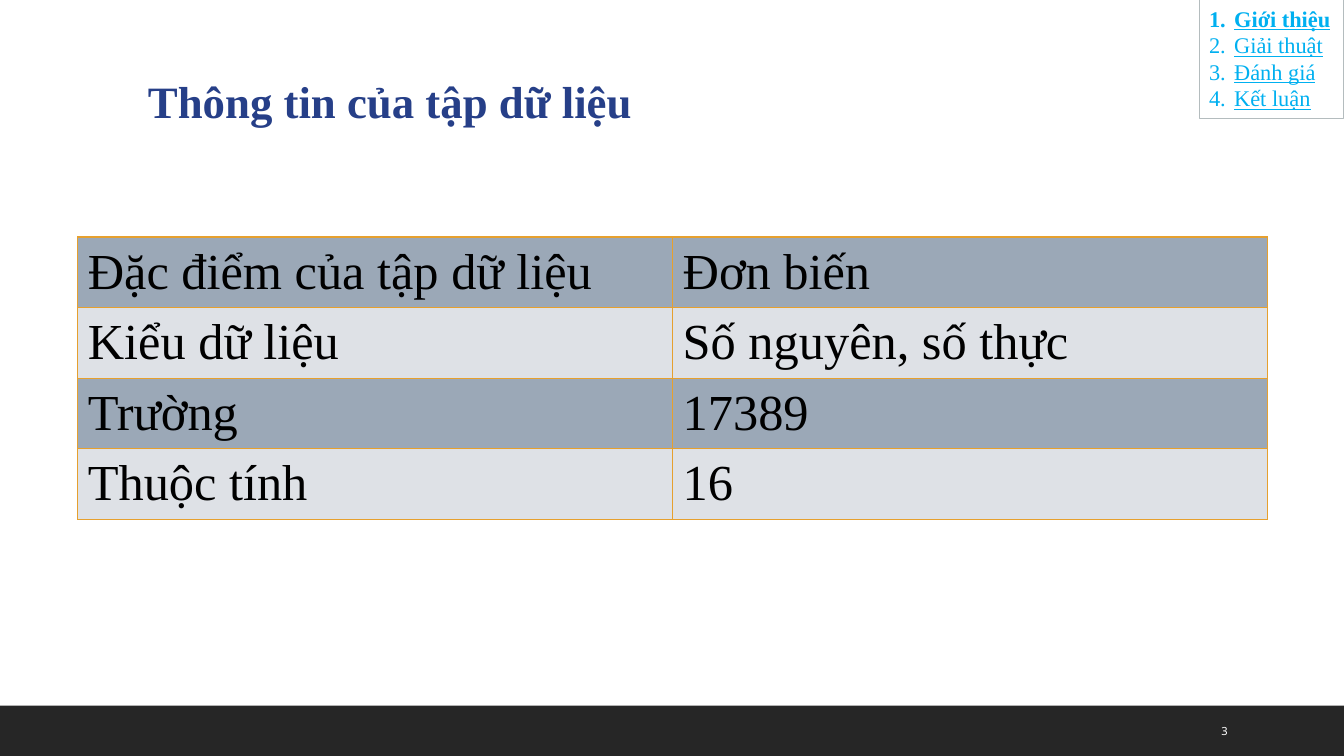
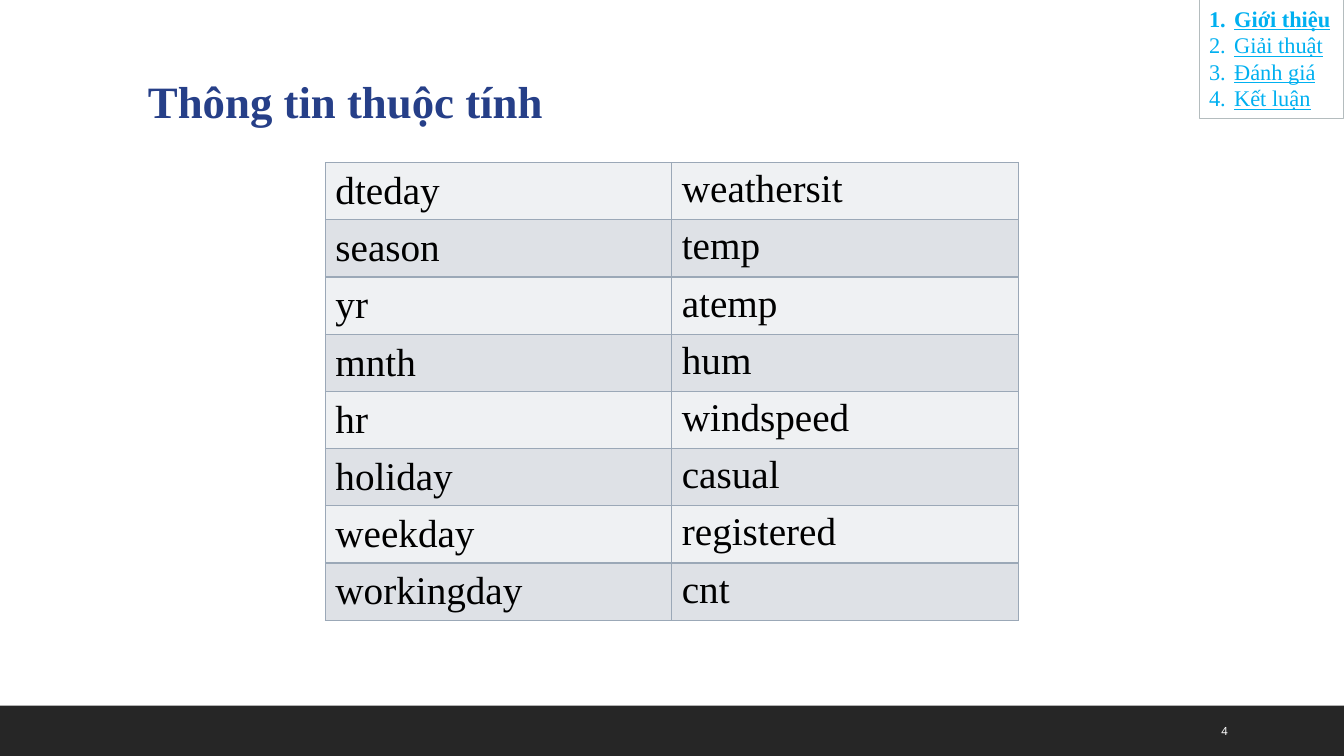
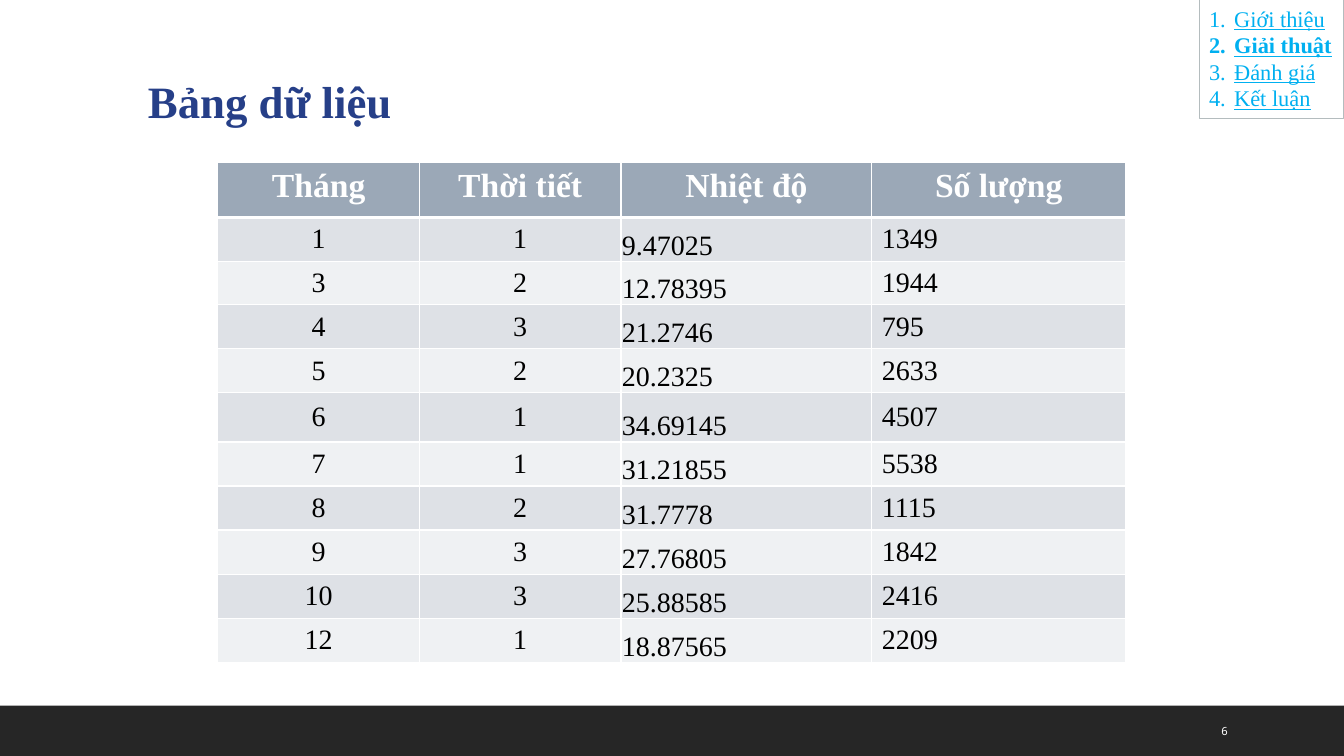
from dataclasses import dataclass
from typing import Optional

from pptx import Presentation
from pptx.dml.color import RGBColor
from pptx.enum.shapes import MSO_SHAPE
from pptx.enum.text import MSO_ANCHOR, PP_ALIGN
from pptx.oxml import parse_xml
from pptx.oxml.ns import nsdecls
from pptx.util import Cm, Pt

SERIF = "Times New Roman"
SANS = "Noto Sans"
NAVY, SKY, ORANGE = "263F88", "00B0F0", "E6A02E"
BLACK, WHITE, CHARCOAL, FRAME = "000000", "FFFFFF", "262626", "B4BCBE"
STEEL, MIST, PALE = "9BA8B7", "DEE1E6", "EFF1F3"
SLIDE_WIDTH, SLIDE_HEIGHT = 33.87, 19.05
SECTIONS = ["Giới thiệu", "Giải thuật", "Đánh giá", "Kết luận"]


@dataclass
class Column:
    """Width and text placement of one table column."""
    width: float
    anchor: MSO_ANCHOR = MSO_ANCHOR.MIDDLE
    align: PP_ALIGN = PP_ALIGN.LEFT
    inset: Optional[float] = None


@dataclass
class TableStyle:
    """Text size, band fills and rules of one table."""
    size: float
    bands: tuple
    rule: str
    heading_size: Optional[float] = None


def color(value):
    """Turn a hex string into a colour."""
    return RGBColor.from_string(value)


def lengths(*values):
    """Turn centimetres into slide lengths."""
    return [Cm(value) for value in values]


def set_font(paragraph, size, value, bold=False, name=SERIF):
    """Set the font shared by all runs of a paragraph."""
    font = paragraph.font
    font.name, font.size, font.bold = name, Pt(size), bold
    font.color.rgb = color(value)


def add_label(page, box, text, anchor=MSO_ANCHOR.TOP, **font):
    """Add one line of text in the given box."""
    frame = page.shapes.add_textbox(*lengths(*box)).text_frame
    frame.word_wrap = True
    frame.vertical_anchor = anchor
    frame.text = text
    set_font(frame.paragraphs[0], **font)


def add_footer(page, box, number):
    """Add the dark band with the page number."""
    left, top, width, height = box
    band = page.shapes.add_shape(MSO_SHAPE.RECTANGLE, *lengths(*box))
    band.shadow.inherit = False
    band.fill.solid()
    band.fill.fore_color.rgb = color(CHARCOAL)
    band.line.fill.background()
    add_label(page, (left + width - 3.34, top + 0.13, 2.16, height - 0.26), str(number),
              MSO_ANCHOR.MIDDLE, size=8, value=WHITE, name=SANS)


def add_menu(page, box, active):
    """Add the numbered section list with the active section in bold."""
    menu = page.shapes.add_shape(MSO_SHAPE.RECTANGLE, *lengths(*box))
    menu.shadow.inherit = False
    menu.fill.background()
    menu.line.color.rgb = color(FRAME)
    menu.line.width = Pt(0.75)
    frame = menu.text_frame
    frame.word_wrap = True
    frame.vertical_anchor = MSO_ANCHOR.TOP
    frame.text = "\n".join(SECTIONS)
    for section, paragraph in zip(SECTIONS, frame.paragraphs):
        paragraph.alignment = PP_ALIGN.JUSTIFY
        paragraph.line_spacing = Pt(19)
        set_font(paragraph, 16, SKY, bold=section == active)
        paragraph.font.underline = True
        properties = paragraph._p.get_or_add_pPr()
        indent = Cm(0.635)
        properties.set("marL", str(indent))
        properties.set("indent", str(-indent))
        numbering = parse_xml(f'<a:buAutoNum {nsdecls("a")} type="arabicPeriod"/>')
        properties.find("{*}defRPr").addprevious(numbering)


def set_borders(cell, value, top=1, bottom=1):
    """Draw the four edges of a cell."""
    properties = cell._tc.get_or_add_tcPr()
    for edge, points in (("L", 1), ("R", 1), ("T", top), ("B", bottom)):
        properties.append(parse_xml(
            f'<a:ln{edge} {nsdecls("a")} w="{Pt(points)}"><a:solidFill>'
            f'<a:srgbClr val="{value}"/></a:solidFill></a:ln{edge}>'))


def fill_cell(cell, text, column, fill, size, value=BLACK, bold=False):
    """Write and colour one table cell."""
    cell.text = text
    cell.vertical_anchor = column.anchor
    if column.inset is not None:
        cell.margin_left = cell.margin_right = cell.margin_top = Cm(column.inset)
        cell.margin_bottom = 0
    cell.fill.solid()
    cell.fill.fore_color.rgb = color(fill)
    paragraph = cell.text_frame.paragraphs[0]
    paragraph.alignment = column.align
    set_font(paragraph, size, value, bold)


def add_grid(page, corner, columns, heights, rows, style):
    """Add a banded table with its top left at the given corner."""
    width = sum(column.width for column in columns)
    table = page.shapes.add_table(len(rows), len(columns),
                                  *lengths(*corner, width, sum(heights))).table
    table.first_row = table.horz_banding = False
    for line, height in zip(table.rows, heights):
        line.height = Cm(height)
    for line, column in zip(table.columns, columns):
        line.width = Cm(column.width)
    heading = style.heading_size is not None
    title_column = Column(0, MSO_ANCHOR.TOP, PP_ALIGN.CENTER)
    for row, texts in enumerate(rows):
        for index, text in enumerate(texts):
            cell = table.cell(row, index)
            set_borders(cell, style.rule, top=3 if heading and row == 1 else 1,
                        bottom=3 if heading and row == 0 else 1)
            if heading and row == 0:
                fill_cell(cell, text, title_column, STEEL, style.heading_size, WHITE, True)
            else:
                fill = style.bands[(row - heading) % len(style.bands)]
                fill_cell(cell, text, columns[index], fill, style.size)


def add_page(deck, title, number, active):
    """Add a slide with its title, section list and footer."""
    page = deck.slides.add_slide(deck.slide_layouts[6])
    add_footer(page, (0, 17.78, SLIDE_WIDTH, 1.27), number)
    add_label(page, (3.48, 1.73, 12.9, 1.63), title, size=32, value=NAVY, bold=True)
    add_menu(page, (30.22, 0, 3.65, 3), active)
    return page


def add_summary(deck):
    """Build the slide on the data set."""
    page = add_page(deck, "Thông tin của tập dữ liệu", 3, SECTIONS[0])
    rows = [("Đặc điểm của tập dữ liệu", "Đơn biến"),
            ("Kiểu dữ liệu", "Số nguyên, số thực"),
            ("Trường", "17389"),
            ("Thuộc tính", "16")]
    add_grid(page, (1.96, 5.97), [Column(14.99)] * 2, [1.66] * len(rows), rows,
             TableStyle(36, (STEEL, MIST), ORANGE))


def add_attributes(deck):
    """Build the slide that lists the attributes."""
    page = add_page(deck, "Thông tin thuộc tính", 4, SECTIONS[0])
    rows = [("dteday", "weathersit"), ("season", "temp"), ("yr", "atemp"),
            ("mnth", "hum"), ("hr", "windspeed"), ("holiday", "casual"),
            ("weekday", "registered"), ("workingday", "cnt")]
    columns = [Column(8.73), Column(8.73, MSO_ANCHOR.TOP)]
    add_grid(page, (8.2, 4.1), columns, [1.44] * len(rows), rows,
             TableStyle(28, (PALE, MIST), STEEL))


def add_records(deck):
    """Build the slide with the data table."""
    page = add_page(deck, "Bảng dữ liệu", 6, SECTIONS[1])
    rows = [("Tháng", "Thời tiết", "Nhiệt độ", "Số lượng"),
            ("1", "1", "9.47025", "1349"),
            ("3", "2", "12.78395", "1944"),
            ("4", "3", "21.2746", "795"),
            ("5", "2", "20.2325", "2633"),
            ("6", "1", "34.69145", "4507"),
            ("7", "1", "31.21855", "5538"),
            ("8", "2", "31.7778", "1115"),
            ("9", "3", "27.76805", "1842"),
            ("10", "3", "25.88585", "2416"),
            ("12", "1", "18.87565", "2209")]
    centred = Column(5.08, align=PP_ALIGN.CENTER)
    columns = [centred, centred, Column(6.32, MSO_ANCHOR.BOTTOM, inset=0.02), Column(6.4)]
    heights = [1.38] + [1.1] * 4 + [1.25] + [1.11] * 5
    add_grid(page, (5.49, 4.1), columns, heights, rows,
             TableStyle(20, (MIST, PALE), WHITE, heading_size=24))


def main():
    """Build and save the deck."""
    deck = Presentation()
    deck.slide_width, deck.slide_height = lengths(SLIDE_WIDTH, SLIDE_HEIGHT)
    for build in (add_summary, add_attributes, add_records):
        build(deck)
    deck.save("out.pptx")


main()
